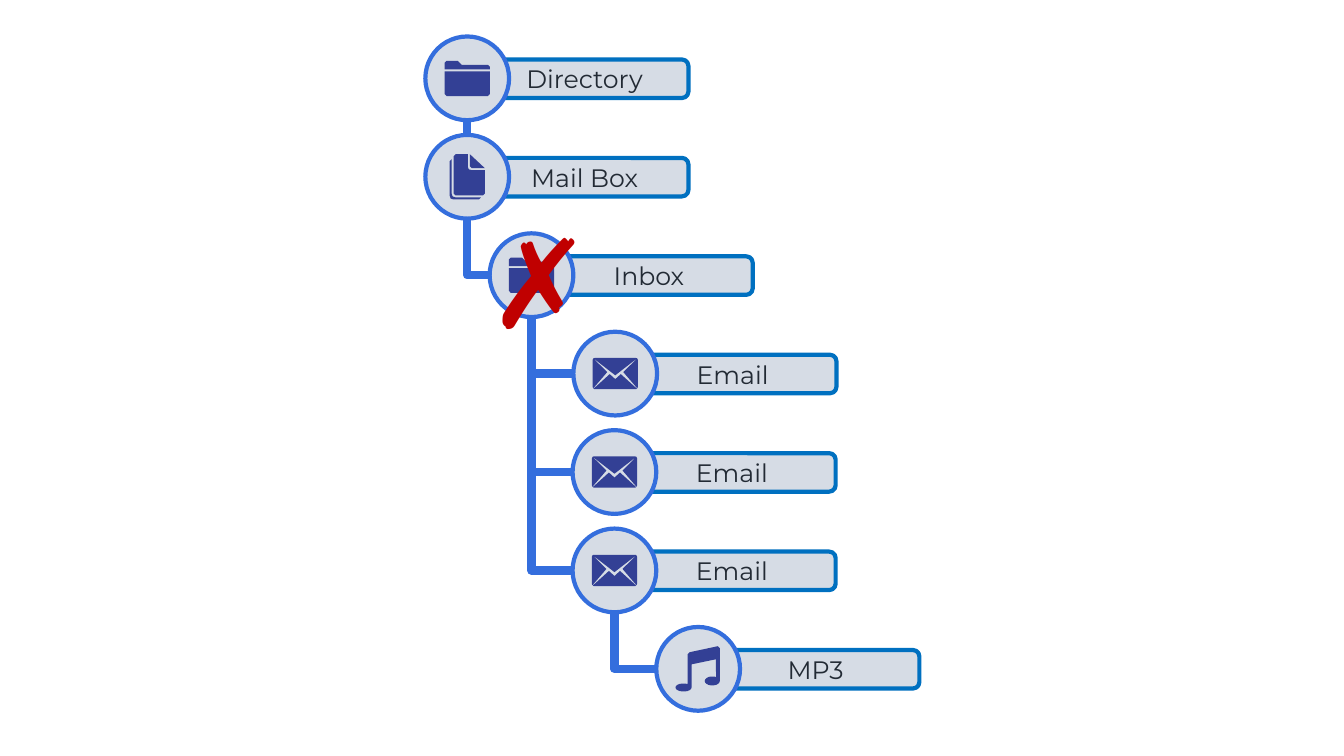
from math import cos, radians, sin

from lxml import etree
from pptx import Presentation
from pptx.dml.color import RGBColor
from pptx.enum import shapes, text
from pptx.oxml import ns
from pptx.util import Cm, Pt

PALE = RGBColor(0xD6, 0xDC, 0xE5)
BAR_BLUE = RGBColor(0x00, 0x70, 0xC0)
LINK_BLUE = RGBColor(0x34, 0x6E, 0xDD)
ICON_BLUE = RGBColor(0x33, 0x40, 0x95)
LABEL_DARK = RGBColor(0x22, 0x2A, 0x34)
CROSS_RED = RGBColor(0xC0, 0x00, 0x00)

NODES = [
    ("Directory", "folder", 10.72, None),
    ("Mail Box", "pages", 10.72, 0),
    ("Inbox", "folder", 12.34, 1),
    ("Email", "envelope", 14.45, 2),
    ("Email", "envelope", 14.43, 2),
    ("Email", "envelope", 14.43, 2),
    ("MP3", "music", 16.54, 5),
]


def note_head(x, y, wide, high):
    return [(x + wide * cos(radians(a)), y + high * sin(radians(a)))
            for a in range(-60, -361, -20)]


ICONS = {
    "folder": [
        [(-22.5, -7), (22.5, -7), (22.5, 15.5), (20.5, 17.5), (-20.5, 17.5), (-22.5, 15.5)],
        [(-22.5, -9), (-22.5, -15.5), (-20.5, -17.5), (-9.5, -17.5), (-5.5, -13.5),
         (20.5, -13.5), (22.5, -11.5), (22.5, -9)],
    ],
    "pages": [
        [(-13.5, -20.5), (-11.5, -22.5), (0.5, -22.5), (0.5, -10), (1.5, -7.5), (4.5, -6.5),
         (17.5, -6.5), (17.5, 16.5), (15.5, 18.5), (-11.5, 18.5), (-13.5, 16.5)],
        [(2.5, -22.5), (17.5, -8.5), (4.5, -8.5), (2.5, -10.5)],
        [(-17.5, -15.5), (-15.5, -17.5), (-15.5, 16.5), (-14.5, 19.5), (-11.5, 20.5),
         (13.5, 20.5), (11.5, 22.5), (-13.5, 22.5), (-16.5, 21.5), (-17.5, 18.5)],
    ],
    "envelope": [
        [(8, -1.5), (21.7, -15), (22.5, -13.5), (22.5, 13), (21.9, 14.7)],
        [(-21.7, -15.2), (-20.5, -15.5), (20.5, -15.5), (21.7, -15.2), (0, 1.7)],
        [(-21.9, 14.7), (-22.5, 13), (-22.5, -13.5), (-21.7, -15), (-8, -1.5)],
        [(0, 5.5), (5.5, 0.5), (21.5, 15), (20.5, 15.5), (-20.5, 15.5), (-21.5, 15),
         (-5.5, 0.5)],
    ],
    "music": [
        [(21.5, -20.5), (19.5, -22.5), (-8.5, -16.5), (-10.5, -14.5)]
        + note_head(-14.5, 18.5, 8, 4)
        + [(-6.5, -4.5), (17.5, -9.5)]
        + note_head(14, 12, 7.5, 4.5),
    ],
}

FIRST_TOP, PITCH = Cm(0.92), Cm(2.48)
CIRCLE = Cm(2.11)
BAR_X, BAR_Y = Cm(1.4), Cm(0.58)
BAR_W, BAR_H = Cm(5.23), Cm(0.97)
FINE = 10
ICON_SCALE = Cm(2.54) / 100 / FINE

deck = Presentation()
deck.slide_width, deck.slide_height = Cm(33.87), Cm(19.05)
slide = deck.slides.add_slide(deck.slide_layouts[6])
canvas = slide.shapes


def add_link(kind, x1, y1, x2, y2):
    link = canvas.add_connector(kind, int(x1), int(y1), int(x2), int(y2))
    link.line.color.rgb = LINK_BLUE
    link.line.width = Pt(6)
    etree.SubElement(link._element.spPr, ns.qn("a:effectLst"))
    return link


def add_bend(x1, y1, x2, y2):
    across, down = x2 - x1, y2 - y1
    mid_x, mid_y = (x1 + x2) / 2, (y1 + y2) / 2
    bend = add_link(shapes.MSO_CONNECTOR.ELBOW, mid_x - down / 2, mid_y - across / 2,
                    mid_x + down / 2, mid_y + across / 2)
    frame = bend._element.spPr
    frame.find(ns.qn("a:prstGeom")).set("prst", "bentConnector2")
    turn = frame.find(ns.qn("a:xfrm"))
    turn.set("rot", "16200000")
    turn.set("flipH", "1")


def add_outlined(kind, x, y, w, h, colour):
    part = canvas.add_shape(kind, x, y, w, h)
    part.shadow.inherit = False
    part.fill.solid()
    part.fill.fore_color.rgb = PALE
    part.line.color.rgb = colour
    part.line.width = Pt(3)
    return part


def add_icon(outlines, x, y):
    fine = [[(px * FINE, py * FINE) for px, py in outline] for outline in outlines]
    builder = canvas.build_freeform(*fine[0][0], scale=ICON_SCALE)
    builder.add_line_segments(fine[0][1:])
    for outline in fine[1:]:
        builder.move_to(*outline[0])
        builder.add_line_segments(outline[1:])
    icon = builder.convert_to_shape(x, y)
    icon.shadow.inherit = False
    icon.fill.solid()
    icon.fill.fore_color.rgb = ICON_BLUE
    icon.line.fill.background()


def style(run, face, size, colour):
    run.font.name = face
    run.font.size = Pt(size)
    run.font.color.rgb = colour


places = [(Cm(left), FIRST_TOP + row * PITCH) for row, (_, _, left, _) in enumerate(NODES)]
last_child = {parent: row for row, (_, _, _, parent) in enumerate(NODES)}
half = CIRCLE // 2

for row, (_, _, _, parent) in enumerate(NODES):
    if parent is None:
        continue
    left, top = places[row]
    trunk, parent_top = places[parent][0] + half, places[parent][1]
    start, middle = parent_top + CIRCLE, top + half
    if left == places[parent][0]:
        add_link(shapes.MSO_CONNECTOR.STRAIGHT, trunk, start, trunk, top)
    elif row == last_child[parent]:
        add_bend(trunk, start, left, middle)
    else:
        add_link(shapes.MSO_CONNECTOR.STRAIGHT, left, middle, trunk, middle)

for (label, icon, _, _), (left, top) in zip(NODES, places):
    bar = add_outlined(shapes.MSO_SHAPE.ROUNDED_RECTANGLE, left + BAR_X, top + BAR_Y,
                       BAR_W, BAR_H, BAR_BLUE)
    bar.text_frame.text = label
    bar.text_frame.vertical_anchor = text.MSO_ANCHOR.MIDDLE
    caption = bar.text_frame.paragraphs[0]
    caption.alignment = text.PP_ALIGN.CENTER
    style(caption.runs[0], "Montserrat", 18, LABEL_DARK)
    add_outlined(shapes.MSO_SHAPE.OVAL, left, top, CIRCLE, CIRCLE, LINK_BLUE)
    add_icon(ICONS[icon], left + half, top + half)

cross = canvas.add_textbox(Cm(12.07), Cm(5.05), Cm(2.64), Cm(4.01))
cross.text_frame.word_wrap = True
cross.text_frame.text = "✗"
mark = cross.text_frame.paragraphs[0].runs[0]
style(mark, "Lato", 88, CROSS_RED)
mark.font.bold = True

deck.save("out.pptx")
